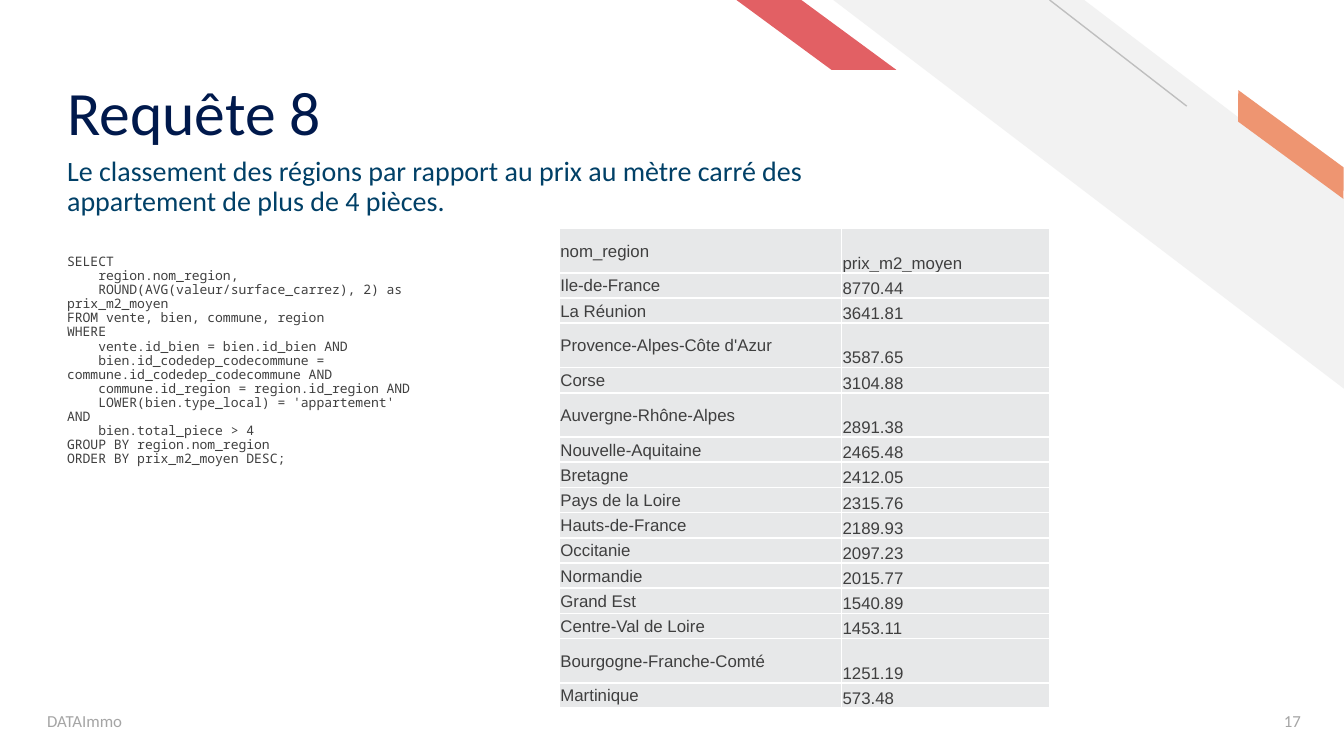
"""Builds the "Requête 8" slide: an SQL query beside its table of regional prices."""
from dataclasses import dataclass

from lxml.etree import SubElement
from pptx import Presentation
from pptx.dml.color import RGBColor as RGB
from pptx.enum.shapes import MSO_CONNECTOR as CONN, MSO_SHAPE as SHAPE
from pptx.enum.text import MSO_ANCHOR as ANCHOR, PP_ALIGN as ALIGN
from pptx.oxml.ns import qn
from pptx.util import Inches, Pt


@dataclass(frozen=True)
class Theme:
    white: str = "FFFFFF"
    stripe: str = "F2F2F2"
    rule: str = "BFBFBF"
    orange: str = "EE9571"
    red: str = "E26064"
    title: str = "00194C"
    subtitle: str = "014067"
    body: str = "3F3F3F"
    footer: str = "A5A5A5"
    cell: str = "E7E8E9"
    sans: str = "Calibri"
    mono: str = "Noto Sans Mono"
    table: str = "Arial"
    title_size: float = 33
    subtitle_size: float = 15
    code_size: float = 7
    small_size: float = 9


class SlideBuilder:
    def __init__(self, slide, theme):
        self.s = slide
        self.t = theme

    def shape(self, kind, box, color, adj, rotation=0):
        sp = self.s.shapes.add_shape(kind, *map(Inches, box))
        sp.shadow.inherit = False
        sp.adjustments[0] = adj
        sp.rotation = rotation
        sp.element.spPr.xfrm.set("flipH", "1")
        sp.fill.solid()
        sp.fill.fore_color.rgb = RGB.from_string(color)
        sp.line.fill.background()

    def line(self, start, end, color, width):
        cx = self.s.shapes.add_connector(CONN.STRAIGHT, *map(Inches, start + end))
        cx.line.color.rgb = RGB.from_string(color)
        cx.line.width = Pt(width)
        SubElement(cx.element.spPr, qn("a:effectLst"))

    def style(self, tf, font, size, color, spacing=None, align=None):
        for p in tf.paragraphs:
            p.line_spacing = spacing
            p.alignment = align
            for r in p.runs:
                r.font.name = font
                r.font.size = Pt(size)
                r.font.color.rgb = RGB.from_string(color)

    def text(self, box, text, font, size, color, anchor=ANCHOR.TOP,
             spacing=None, align=None, bottom=0.04):
        tf = self.s.shapes.add_textbox(*map(Inches, box)).text_frame
        tf.word_wrap = True
        tf.vertical_anchor = anchor
        tf.margin_left = tf.margin_right = Inches(0.07)
        tf.margin_top, tf.margin_bottom = Inches(0.04), Inches(bottom)
        tf.text = text
        self.style(tf, font, size, color, spacing, align)

    def borders(self, cell):
        tc_pr = cell._tc.get_or_add_tcPr()
        for side in ("lnL", "lnR", "lnT", "lnB"):
            ln = SubElement(tc_pr, qn(f"a:{side}"), w=str(Pt(1)))
            fill = SubElement(ln, qn("a:solidFill"))
            SubElement(fill, qn("a:srgbClr"), val=self.t.white)

    def table(self, box, rows, widths, heights):
        tbl = self.s.shapes.add_table(len(rows), len(widths), *map(Inches, box)).table
        tbl.first_row = tbl.horz_banding = False
        for col, width in zip(tbl.columns, widths):
            col.width = Inches(width)
        for row, height, values in zip(tbl.rows, heights, rows):
            row.height = Inches(height)
            for cell, value, anchor in zip(row.cells, values, (ANCHOR.MIDDLE, ANCHOR.BOTTOM)):
                cell.margin_left = cell.margin_right = cell.margin_top = Inches(0.01)
                cell.margin_bottom = 0
                cell.vertical_anchor = anchor
                self.borders(cell)
                cell.fill.solid()
                cell.fill.fore_color.rgb = RGB.from_string(self.t.cell)
                cell.text = value
                self.style(cell.text_frame, self.t.table, self.t.small_size, self.t.body)


SUBTITLE = """Le classement des régions par rapport au prix au mètre carré des
appartement de plus de 4 pièces."""

QUERY = """SELECT
    region.nom_region,
    ROUND(AVG(valeur/surface_carrez), 2) as prix_m2_moyen
FROM vente, bien, commune, region
WHERE
    vente.id_bien = bien.id_bien AND
    bien.id_codedep_codecommune = commune.id_codedep_codecommune AND
    commune.id_region = region.id_region AND
    LOWER(bien.type_local) = 'appartement' AND
    bien.total_piece > 4
GROUP BY region.nom_region
ORDER BY prix_m2_moyen DESC;"""

PRICES = [
    ("nom_region", "prix_m2_moyen"),
    ("Ile-de-France", "8770.44"),
    ("La Réunion", "3641.81"),
    ("Provence-Alpes-Côte d'Azur", "3587.65"),
    ("Corse", "3104.88"),
    ("Auvergne-Rhône-Alpes", "2891.38"),
    ("Nouvelle-Aquitaine", "2465.48"),
    ("Bretagne", "2412.05"),
    ("Pays de la Loire", "2315.76"),
    ("Hauts-de-France", "2189.93"),
    ("Occitanie", "2097.23"),
    ("Normandie", "2015.77"),
    ("Grand Est", "1540.89"),
    ("Centre-Val de Loire", "1453.11"),
    ("Bourgogne-Franche-Comté", "1251.19"),
    ("Martinique", "573.48"),
]
TALL_ROWS = (0, 3, 5, 14)
TALL, TABLE_HEIGHT = 0.33, 3.57


def main():
    prs = Presentation()
    prs.slide_width = Inches(10)
    prs.slide_height = Inches(10 * 9 / 16)
    t = Theme()
    b = SlideBuilder(prs.slides.add_slide(prs.slide_layouts[6]), t)

    b.shape(SHAPE.DIAGONAL_STRIPE, (6.2, 0, 3.81, 2.9), t.stripe, 0.51)
    b.line((8.83, 0.79), (7.81, 0), t.rule, 0.75)
    b.shape(SHAPE.PARALLELOGRAM, (9.05, 0.98, 1.11, 0.19), t.orange, 0.72, 36.3)
    b.shape(SHAPE.PARALLELOGRAM, (5.48, 0, 1.19, 0.52), t.red, 1.36)

    b.text((0.43, 0.17, 6.83, 0.94), "Requête 8", t.sans, t.title_size, t.title,
           ANCHOR.BOTTOM, 0.9, bottom=0)
    b.text((0.28, 5.21, 3.38, 0.3), "DATAImmo", t.sans, t.small_size, t.footer, ANCHOR.MIDDLE)
    b.text((9.14, 5.21, 0.61, 0.3), "17", t.sans, t.small_size, t.footer,
           ANCHOR.MIDDLE, align=ALIGN.RIGHT)
    b.text((0.43, 1.13, 6.04, 0.5), SUBTITLE, t.sans, t.subtitle_size, t.subtitle, spacing=0.9)
    b.text((0.43, 1.86, 2.77, 1.74), QUERY, t.mono, t.code_size, t.body, spacing=0.9)

    short = (TABLE_HEIGHT - TALL * len(TALL_ROWS)) / (len(PRICES) - len(TALL_ROWS))
    heights = [TALL if i in TALL_ROWS else short for i in range(len(PRICES))]
    b.table((4.16, 1.7, 3.65, TABLE_HEIGHT), PRICES, (2.1, 1.55), heights)

    prs.save("out.pptx")


if __name__ == "__main__":
    main()
